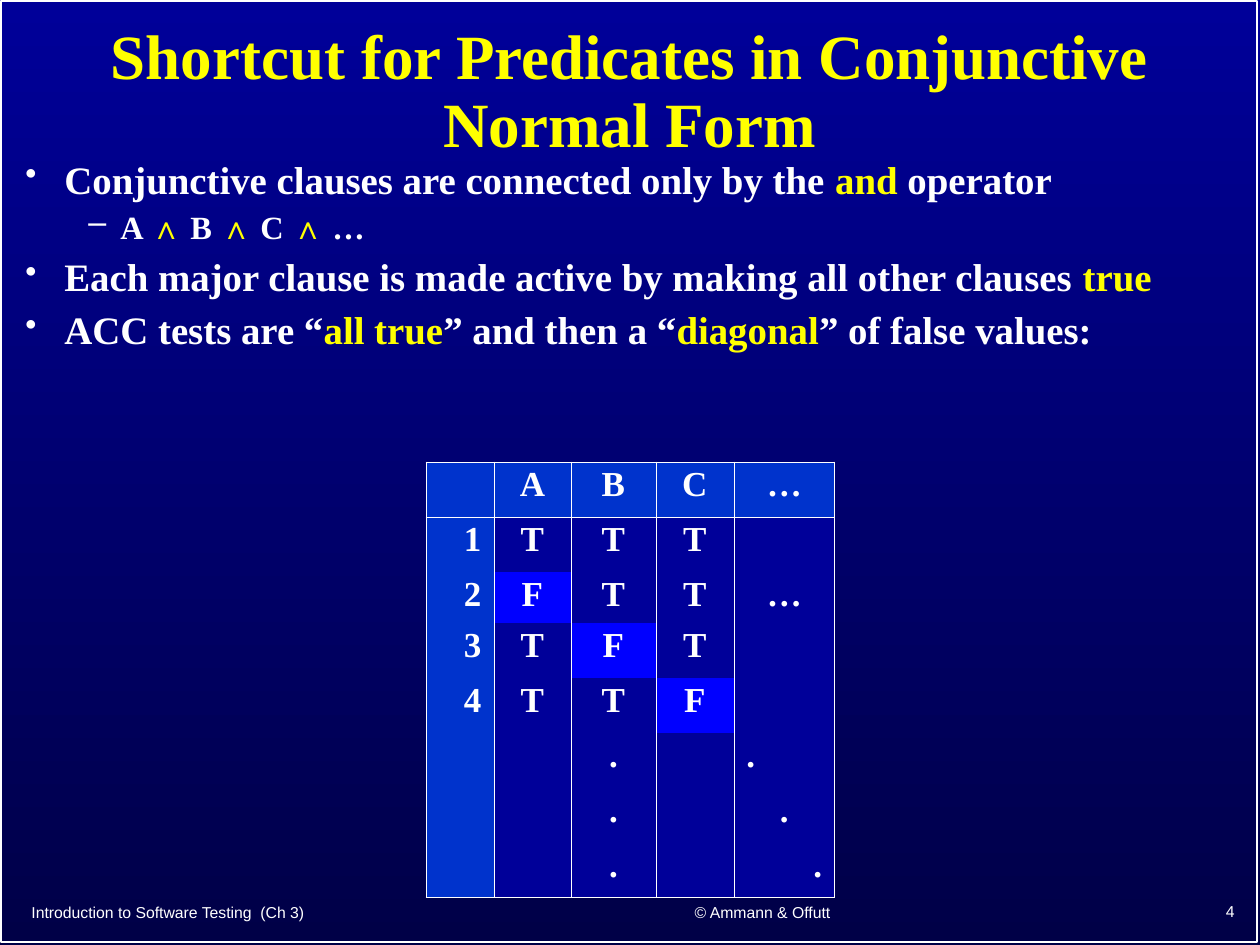
from lxml.etree import SubElement
from pptx import Presentation
from pptx.dml.color import RGBColor
from pptx.enum.shapes import MSO_SHAPE
from pptx.enum.text import MSO_ANCHOR, PP_ALIGN
from pptx.oxml.ns import qn
from pptx.util import Pt

PX = 914400 // 126
COLORS = {
    "sky": "000099", "night": "000047", "text": "FFFFFF", "accent": "FFFF00",
    "heading": "0033CC", "body": "000099", "false": "0000FF",
}
SERIF, SANS = "Times New Roman", "Arial"
LEFT, CENTER, RIGHT = PP_ALIGN.LEFT, PP_ALIGN.CENTER, PP_ALIGN.RIGHT

TITLE = "Shortcut for Predicates in Conjunctive Normal Form"
# Text between asterisks is highlighted.
BULLETS = [
    (0, "Conjunctive clauses are connected only by the *and* operator"),
    (1, "A *∧* B *∧* C *∧* …"),
    (0, "Each major clause is made active by making all other clauses *true*"),
    (0, "ACC tests are “*all true*” and then a “*diagonal*” of false values:"),
]
LEVELS = [
    {"size": 22.2, "margin": 39, "indent": -39, "before": 9, "bullet": "•", "percent": 85},
    {"size": 18.5, "margin": 95, "indent": -32, "before": 7.5, "bullet": "–", "percent": 100},
]
FOOTERS = [
    ("Introduction to Software Testing  (Ch 3)", LEFT, (19, 888, 522, 48)),
    ("© Ammann & Offutt", CENTER, (563, 888, 399, 49)),
    ("4", RIGHT, (985, 886, 262, 50)),
]
TRUTH_TABLE = [
    ["", "A", "B", "C", "…"],
    ["1", "T", "T", "T", ""],
    ["2", "F", "T", "T", "…"],
    ["3", "T", "F", "T", ""],
    ["4", "T", "T", "F", ""],
    ["", "", ".", "", "."],
    ["", "", ".", "", "."],
    ["", "", ".", "", "."],
]
TRAILING_DOTS = {(5, 4): LEFT, (6, 4): CENTER, (7, 4): RIGHT}
COLUMN_WIDTHS = [68, 77, 85, 78, 101]
ROW_HEIGHTS = [55, 55, 51, 55, 55, 55, 55, 55]


def rgb(name):
    return RGBColor.from_string(COLORS[name])


def emu(box):
    return [length * PX for length in box]


def add_run(paragraph, text, color="text", **font_format):
    run = paragraph.add_run()
    run.text = text
    run.font.color.rgb = rgb(color)
    for attribute, value in font_format.items():
        setattr(run.font, attribute, value)


def add_text_frame(slide, box, wrap=True, anchor=MSO_ANCHOR.MIDDLE):
    frame = slide.shapes.add_textbox(*emu(box)).text_frame
    frame.word_wrap = wrap
    frame.vertical_anchor = anchor
    return frame


def add_background(slide):
    fill = slide.background.fill
    fill.gradient()
    fill.gradient_angle = 270
    for stop, position, color in zip(fill.gradient_stops, (0, 1), ("sky", "night")):
        stop.position = position
        stop.color.rgb = rgb(color)
    border = slide.shapes.add_shape(MSO_SHAPE.RECTANGLE, *emu((1, 1, 1256, 941)))
    border.shadow.inherit = False
    border.fill.background()
    border.line.color.rgb = rgb("text")
    border.line.width = Pt(1)


def add_title(slide):
    paragraph = add_text_frame(slide, (16, 14, 1227, 158)).paragraphs[0]
    paragraph.alignment = CENTER
    paragraph.line_spacing = 0.9
    add_run(paragraph, TITLE, "accent", size=Pt(36), name=SERIF, bold=True)


def set_bullet(paragraph, level):
    properties = paragraph._p.get_or_add_pPr()
    properties.set("marL", str(level["margin"] * PX))
    properties.set("indent", str(level["indent"] * PX))
    bullet_color = SubElement(properties, qn("a:buClr"))
    SubElement(bullet_color, qn("a:srgbClr"), val=COLORS["text"])
    SubElement(properties, qn("a:buSzPct"), val=str(level["percent"] * 1000))
    SubElement(properties, qn("a:buChar"), char=level["bullet"])


def add_bullets(slide):
    frame = add_text_frame(slide, (13, 158, 1236, 237), anchor=MSO_ANCHOR.TOP)
    for index, (depth, text) in enumerate(BULLETS):
        level = LEVELS[depth]
        paragraph = frame.add_paragraph() if index else frame.paragraphs[0]
        set_bullet(paragraph, level)
        paragraph.level = depth
        paragraph.line_spacing = 0.8
        if index:
            paragraph.space_before = Pt(level["before"])
        for part, words in enumerate(text.split("*")):
            if words:
                add_run(paragraph, words, "accent" if part % 2 else "text",
                        size=Pt(level["size"]), bold=True,
                        name=SANS if words == "∧" else SERIF)


def set_borders(cell, visible):
    """Draw the cell sides named in visible and hide the others."""
    properties = cell._tc.get_or_add_tcPr()
    for side in "LRTB":
        line = SubElement(properties, qn(f"a:ln{side}"), w=str(Pt(0.45)))
        if side in visible:
            fill = SubElement(line, qn("a:solidFill"))
            SubElement(fill, qn("a:srgbClr"), val=COLORS["text"])
        else:
            SubElement(line, qn("a:noFill"))


def add_truth_table(slide):
    last_row = len(TRUTH_TABLE) - 1
    box = (426, 462, sum(COLUMN_WIDTHS), sum(ROW_HEIGHTS))
    table = slide.shapes.add_table(len(ROW_HEIGHTS), len(COLUMN_WIDTHS), *emu(box)).table
    table.first_row = table.horz_banding = False
    for column, width in zip(table.columns, COLUMN_WIDTHS):
        column.width = width * PX
    for row, height in zip(table.rows, ROW_HEIGHTS):
        row.height = height * PX

    for r, values in enumerate(TRUTH_TABLE):
        sides = "LR" + ("T" if r <= 1 else "") + ("B" if r in (0, last_row) else "")
        for c, value in enumerate(values):
            cell = table.cell(r, c)
            set_borders(cell, sides)
            is_heading = r == 0 or c == 0
            color = "heading" if is_heading else "false" if value == "F" else "body"
            cell.fill.solid()
            cell.fill.fore_color.rgb = rgb(color)
            if value:
                paragraph = cell.text_frame.paragraphs[0]
                paragraph.alignment = TRAILING_DOTS.get((r, c), CENTER if c else RIGHT)
                paragraph.line_spacing = 0.9
                add_run(paragraph, value, size=Pt(20), name=SERIF, bold=True)


def add_footers(slide):
    for text, alignment, box in FOOTERS:
        paragraph = add_text_frame(slide, box, wrap=False).paragraphs[0]
        paragraph.alignment = alignment
        add_run(paragraph, text, size=Pt(9), name=SANS)


def main():
    presentation = Presentation()
    presentation.slide_width, presentation.slide_height = emu((1260, 945))
    slide = presentation.slides.add_slide(presentation.slide_layouts[6])
    for add_part in (add_background, add_title, add_bullets, add_footers, add_truth_table):
        add_part(slide)
    presentation.save("out.pptx")


if __name__ == "__main__":
    main()
